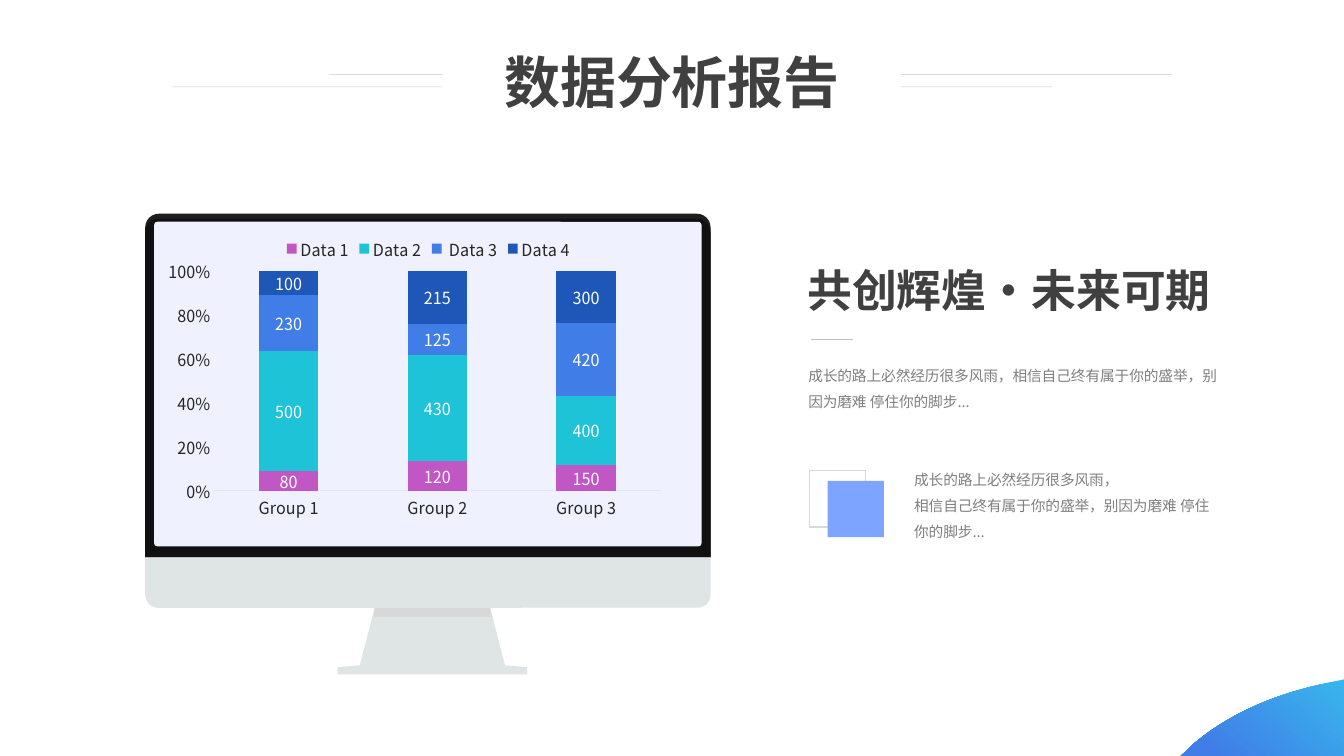
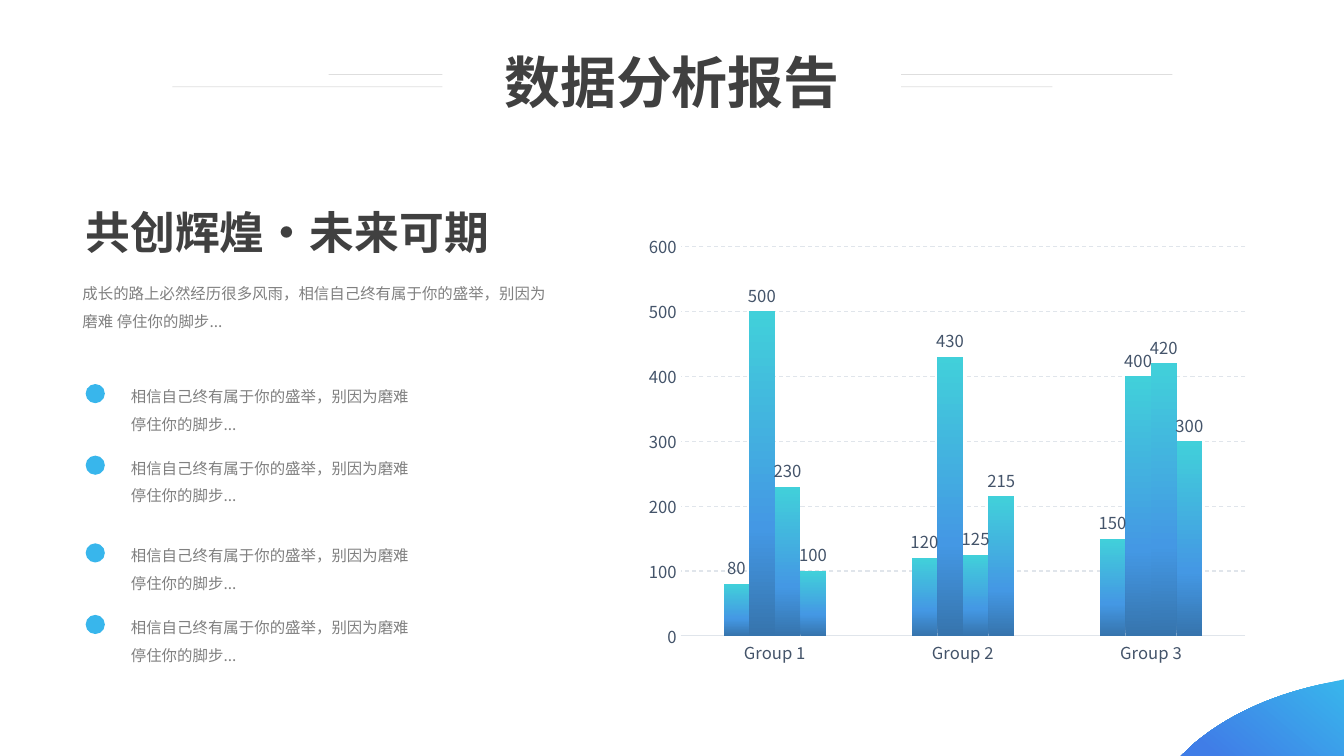
from copy import deepcopy

from lxml.etree import SubElement
from pptx import Presentation
from pptx.chart.data import CategoryChartData
from pptx.dml.color import RGBColor
from pptx.enum.chart import XL_CHART_TYPE as ChartType
from pptx.enum.chart import XL_LABEL_POSITION as LabelAt
from pptx.enum.chart import XL_LEGEND_POSITION as LegendAt
from pptx.enum.chart import XL_TICK_MARK as Tick
from pptx.enum.dml import MSO_LINE as Dash
from pptx.enum.lang import MSO_LANGUAGE_ID as Lang
from pptx.enum.shapes import MSO_CONNECTOR as Connector
from pptx.enum.shapes import MSO_SHAPE as Shape
from pptx.enum.text import MSO_ANCHOR as Anchor
from pptx.enum.text import MSO_AUTO_SIZE as AutoSize
from pptx.enum.text import PP_ALIGN as Align
from pptx.oxml.ns import qn
from pptx.util import Inches, Pt

# Grid of 80 columns by 45 rows, all cells square
CELL = Inches(7.5) // 45
COLS, ROWS = 80, 45
FONT = "Noto Sans CJK SC"
HEX = {
    "heading": "404040", "body": "7F7F7F", "body_alt": "808080",
    "rule": "BFBFBF", "frame": "D9D9D9", "square": "7DA4FF", "dot": "38B6EC",
    "bezel": "101010", "bezel_edge": "1E1E1E", "screen": "EFF1FE",
    "metal": "DFE4E5", "metal_shade": "D8D8D8", "white": "FFFFFF",
    "axis": "E0E5EB", "ink": "262626", "slate": "44546A",
    "magenta": "C157C5", "teal": "1EC3D7", "blue": "407DE7", "navy": "1F57B8",
    "bar_foot": "3674AD", "bar_mid": "4498E4", "bar_top": "41D0DA",
}
RGB = {name: RGBColor.from_string(value) for name, value in HEX.items()}

TITLE = "数据分析报告"
SLOGAN = "共创辉煌·未来可期"
OPENING = "成长的路上必然经历很多风雨，"
ADVICE = "相信自己终有属于你的盛举，别因为磨难 停住你的脚步..."


def at(*cells):
    """Turn grid cells into lengths."""
    return [round(cell * CELL) for cell in cells]


def write(frame, lines, size, color, bold=False, spacing=None, align=Align.LEFT):
    """Fill a text frame, one paragraph per line."""
    frame.word_wrap = True
    frame.auto_size = AutoSize.NONE
    frame.vertical_anchor = Anchor.TOP
    for index, line in enumerate(lines):
        paragraph = frame.add_paragraph() if index else frame.paragraphs[0]
        paragraph.alignment = align
        paragraph.line_spacing = spacing
        run = paragraph.add_run()
        run.text = line
        font = run.font
        font.name, font.size, font.bold = FONT, Pt(size), bold
        font.color.rgb = RGB[color]
        font.language_id = Lang.SIMPLIFIED_CHINESE
        SubElement(font._element, qn("a:ea"), typeface=FONT)


deck = Presentation()
deck.slide_width, deck.slide_height = COLS * CELL, ROWS * CELL
layout = deck.slide_layouts[5]
for holder in list(layout.placeholders)[1:]:
    layout.shapes.element.remove(holder.element)
monitor_slide, bars_slide = [deck.slides.add_slide(layout) for _ in range(2)]
gradients = []  # fill, element that holds it, stops, clockwise angle

# Shared corner wave: a cubic curve sampled into short segments
curve = ((70.92, 44.4), (72.96, 42.6), (75.84, 41.28), (79.2, 40.62))
STEPS = 40
wave_points = [(COLS, 40.44), (COLS, ROWS), (70.3, ROWS)]
for step in range(STEPS + 1):
    t = step / STEPS
    weights = ((1 - t) ** 3, 3 * t * (1 - t) ** 2, 3 * t * t * (1 - t), t ** 3)
    wave_points.append([sum(w * p[axis] for w, p in zip(weights, curve))
                        for axis in (0, 1)])
outline = monitor_slide.shapes.build_freeform(*at(*wave_points[0]))
outline.add_line_segments([at(*point) for point in wave_points[1:]])
wave = outline.convert_to_shape()
wave.shadow.inherit = False
wave.line.fill.background()
gradients.append((wave.fill, wave.element, ((0, "dot"), (0.87, "blue")), 130))
layout.shapes.element.append(wave.element)

# Shared rules on both sides of the title
for start, end, row in ((26.34, 19.56, 4.44), (26.34, 10.26, 5.16),
                        (69.78, 53.64, 4.44), (62.64, 53.64, 5.16)):
    rule = monitor_slide.shapes.add_connector(
        Connector.STRAIGHT, *at(start, row, end, row))
    rule.line.width = Pt(0.5)
    rule.line.color.rgb = RGB["rule"]
    SubElement(next(rule.element.iter(qn("a:srgbClr"))), qn("a:alpha"), val="50000")
    SubElement(rule.element.spPr, qn("a:effectLst"))
    layout.shapes.element.append(rule.element)

# Titles
for slide in (monitor_slide, bars_slide):
    title = slide.shapes.title
    title.left, title.top, title.width, title.height = at(28.75, 2.5, 22.5, 4.62)
    write(title.text_frame, [TITLE], 40, "heading", bold=True, align=Align.CENTER)

# Monitor: stand, then bezel, chin and screen
for color, points in (
        ("metal", ((20.1, 40.14), (20.1, 39.72), (21.42, 39.6), (22.32, 36.12),
                   (29.16, 36.12), (30.06, 39.6), (31.38, 39.72), (31.38, 40.14))),
        ("metal_shade", ((22.26, 36.72), (22.32, 36.12),
                         (29.16, 36.12), (29.28, 36.72)))):
    outline = monitor_slide.shapes.build_freeform(*at(*points[0]))
    outline.add_line_segments([at(*point) for point in points[1:]])
    stand = outline.convert_to_shape()
    stand.shadow.inherit = False
    stand.fill.solid()
    stand.fill.fore_color.rgb = RGB[color]
    stand.line.fill.background()

# Monitor body, accent squares and bullet dots
blocks = [
    (monitor_slide, Shape.ROUND_2_SAME_RECTANGLE, (8.64, 12.72, 33.66, 20.46),
     (0.04, 0), "bezel_edge"),
    (monitor_slide, Shape.ROUND_2_SAME_RECTANGLE, (8.64, 13.02, 33.66, 20.16),
     (0.04, 0), "bezel"),
    (monitor_slide, Shape.ROUND_2_SAME_RECTANGLE, (8.64, 33.18, 33.66, 3),
     (0, 0.26), "metal"),
    (monitor_slide, Shape.ROUNDED_RECTANGLE, (9.18, 13.2, 32.58, 19.32),
     (0.01,), "screen"),
    (monitor_slide, Shape.RECTANGLE, (48.18, 28.02, 3.36, 3.36), (), None),
    (monitor_slide, Shape.RECTANGLE, (49.26, 28.62, 3.36, 3.36), (), "square"),
]
advice_rows = [22.2 + pair * 9.48 + item * 4.26 for pair in (0, 1) for item in (0, 1)]
blocks += [(bars_slide, Shape.OVAL, (5.1, row + 0.66, 1.14, 1.14), (), "dot")
           for row in advice_rows]
for slide, preset, cells, corners, color in blocks:
    block = slide.shapes.add_shape(preset, *at(*cells))
    block.shadow.inherit = False
    for index, corner in enumerate(corners):
        block.adjustments[index] = corner
    if color:
        block.fill.solid()
        block.fill.fore_color.rgb = RGB[color]
        block.line.fill.background()
    else:
        block.fill.background()
        block.line.color.rgb = RGB["frame"]
        block.line.width = Pt(1)

# Rule under the slogan
underline = monitor_slide.shapes.add_connector(
    Connector.STRAIGHT, *at(48.3, 20.22, 50.76, 20.22))
underline.line.color.rgb = RGB["rule"]
underline.line.width = Pt(1)
SubElement(underline.element.spPr, qn("a:effectLst"))

# Slogans and body text
passages = [
    (monitor_slide, (47.46, 15.36, 28.68, 3.84), [SLOGAN], 32, "heading"),
    (monitor_slide, (47.52, 21, 25.86, 3.78), [OPENING + ADVICE], 10.5, "body"),
    (monitor_slide, (53.82, 27.18, 18.9, 5.4), [OPENING, ADVICE], 10.5, "body"),
    (bars_slide, (4.5, 11.88, 29.28, 3.84), [SLOGAN], 32, "heading"),
    (bars_slide, (4.32, 16.08, 29.4, 4.8), [OPENING + ADVICE], 11, "body_alt"),
]
passages += [(bars_slide, (7.2, row, 18.2, 3.9), [ADVICE], 11, "body_alt")
             for row in advice_rows]
for slide, cells, lines, size, color in passages:
    is_slogan = color == "heading"
    passage = slide.shapes.add_textbox(*at(*cells))
    write(passage.text_frame, lines, size, color, bold=is_slogan,
          spacing=None if is_slogan else 1.5)

# Charts: the same figures, stacked to 100% and side by side
GROUPS = ("Group 1", "Group 2", "Group 3")
FIGURES = ((80, 120, 150), (500, 430, 400), (230, 125, 420), (100, 215, 300))
STACK_COLORS = ("magenta", "teal", "blue", "navy")
BAR_STOPS = ((0, "bar_foot"), (0.33, "bar_mid"), (1, "bar_top"))
for slide, kind, cells, names, ink, label_ink, label_at, gap, overlap, plot_area in (
        (monitor_slide, ChartType.COLUMN_STACKED_100, (10.02, 13.38, 30, 17.58),
         ("Data 1", "Data 2", " Data 3", "Data 4"), "ink", "white",
         LabelAt.CENTER, 150, 100, (0.061, 0.156, 0.915, 0.745)),
        (bars_slide, ChartType.COLUMN_CLUSTERED, (38.28, 13.92, 36.72, 26.4),
         ("Series 1", "Series 2", "Series 3", "Series 4"), "slate", "slate",
         LabelAt.OUTSIDE_END, 335, 0, (0.061, 0.02, 0.915, 0.886))):
    stacked = kind == ChartType.COLUMN_STACKED_100
    data = CategoryChartData()
    data.categories = GROUPS
    for name, figures in zip(names, FIGURES):
        data.add_series(name, figures)
    chart = slide.shapes.add_chart(kind, *at(*cells), data).chart
    chart.has_title = False
    chart.font.name, chart.font.size = FONT, Pt(11.9)
    chart.font.color.rgb = RGB[ink]
    chart.has_legend = stacked
    if stacked:
        chart.legend.position = LegendAt.TOP
        chart.legend.include_in_layout = False

    # Axes
    groups, scale = chart.category_axis, chart.value_axis
    for axis in (groups, scale):
        axis.major_tick_mark = axis.minor_tick_mark = Tick.NONE
    groups.format.line.color.rgb = RGB["axis"]
    groups.format.line.width = Pt(0.75)
    scale.format.line.fill.background()
    scale.has_major_gridlines = not stacked
    scale.tick_labels.number_format = "0%" if stacked else "0"
    scale.tick_labels.number_format_is_linked = False
    if not stacked:
        scale.minimum_scale, scale.maximum_scale, scale.major_unit = 0, 600, 100
        grid = scale.major_gridlines.format.line
        grid.color.rgb, grid.width, grid.dash_style = RGB["axis"], Pt(0.75), Dash.DASH

    # Columns and their labels
    plot = chart.plots[0]
    plot.vary_by_categories = False
    plot.gap_width, plot.overlap = gap, overlap
    plot.has_data_labels = True
    labels = plot.data_labels
    labels.show_value, labels.position = True, label_at
    labels.font.name, labels.font.size = FONT, Pt(11.9)
    labels.font.color.rgb = RGB[label_ink]
    for series, color in zip(plot.series, STACK_COLORS):
        series.invert_if_negative = False
        if stacked:
            series.format.fill.solid()
            series.format.fill.fore_color.rgb = RGB[color]
        else:
            gradients.append((series.format.fill, series._element, BAR_STOPS, 270))

    # Fixed inner plot area
    area = next(chart.element.iter(qn("c:plotArea")))
    for old in area.findall(qn("c:layout")):
        area.remove(old)
    frame = SubElement(area, qn("c:layout"))
    area.insert(0, frame)
    manual = SubElement(frame, qn("c:manualLayout"))
    settings = [("layoutTarget", "inner"), ("xMode", "edge"), ("yMode", "edge")]
    settings += zip("xywh", plot_area)
    for tag, value in settings:
        SubElement(manual, qn(f"c:{tag}"), val=str(value))

# Gradients
for fill, holder, stops, angle in gradients:
    fill.gradient()
    fill.gradient_angle = 360 - angle
    stop_list = next(holder.iter(qn("a:gsLst")))
    while len(stop_list) < len(stops):
        stop_list.append(deepcopy(stop_list[-1]))
    for stop, (position, color) in zip(fill.gradient_stops, stops):
        stop.position = position
        stop.color.rgb = RGB[color]

deck.save("out.pptx")
